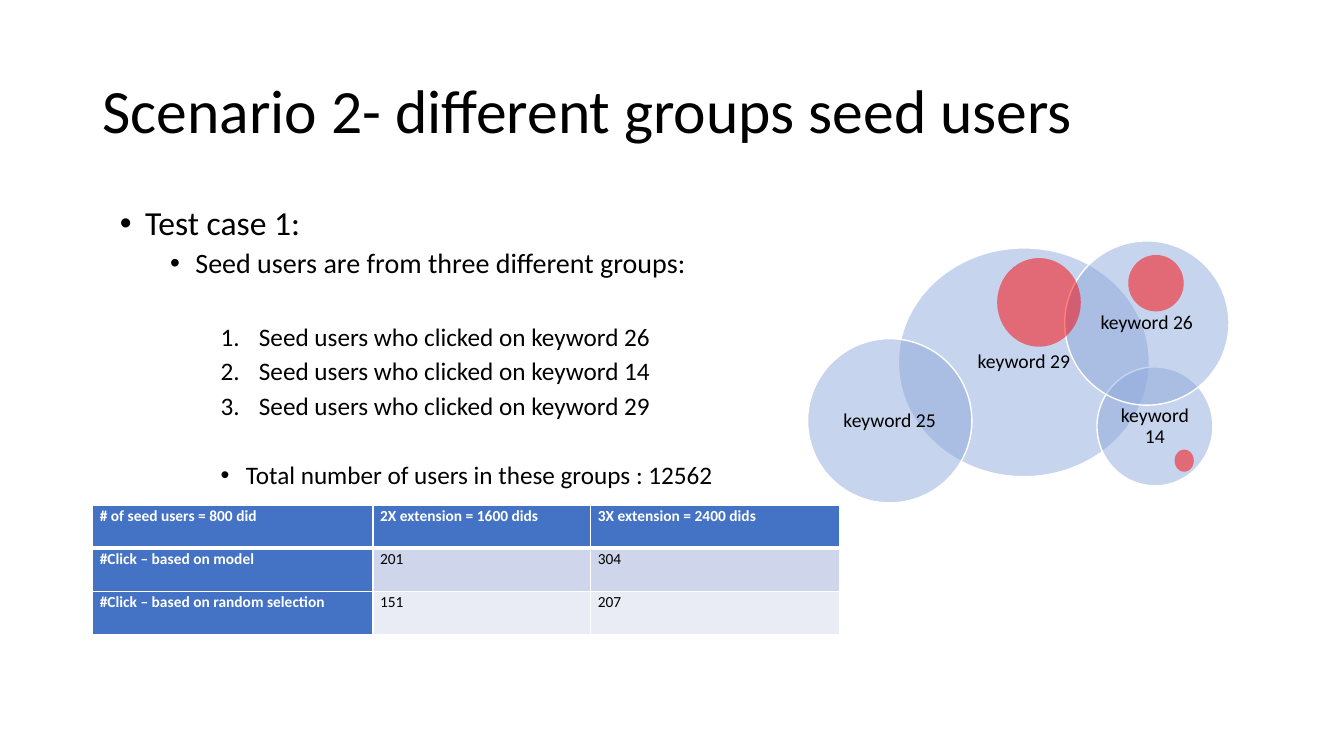
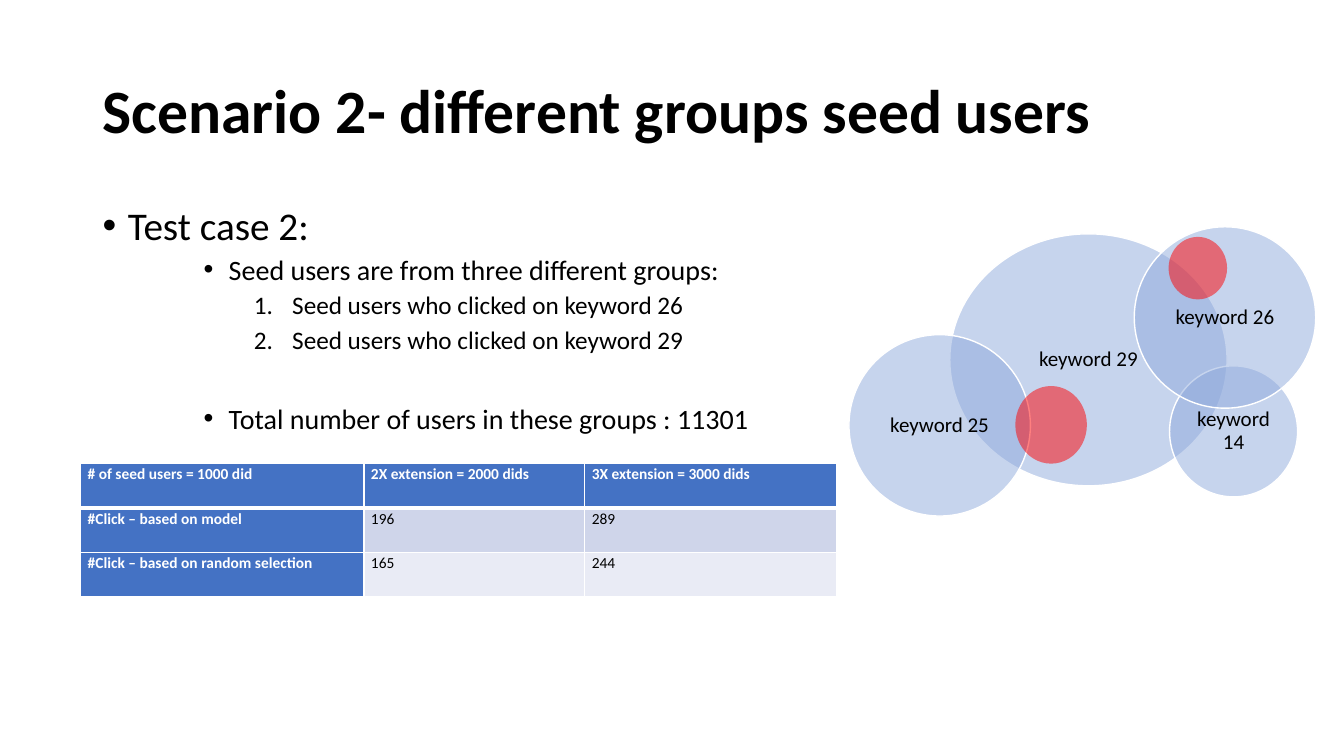
from lxml import etree
from pptx import Presentation
from pptx.dml.color import RGBColor
from pptx.enum import shapes, text
from pptx.oxml.ns import qn
from pptx.util import Inches, Pt

COLORS = {"black": "000000", "white": "FFFFFF", "header": "4472C4", "keyword": "8FAADC",
          "seed": "FF0000", "band_dark": "CFD5EA", "band_light": "E9EBF5"}
FONT = "Calibri"
TITLE = "Scenario 2- different groups seed users"
GROUPS = "Seed users are from three different groups:"
CLICKED = "Seed users who clicked on keyword "
TOTAL = "Total number of users in these groups : "

# Body lines: text, level, bullet, size, left margin, hanging indent, space before
# Ellipses: left, top, width, height
SLIDES = [
    {"title_bold": False,
     "body_box": (0.59, 2, 8.4, 4.76),
     "body": [("Test case 1:", 1, "•", 24, 0.75, 0.25, 5),
              (GROUPS, 2, "•", 20, 1.25, 0.25, 5),
              (CLICKED + "26", 3, "1.", 18, 1.88, 0.38, 32),
              (CLICKED + "14", 3, "1.", 18, 1.88, 0.38, 5),
              (CLICKED + "29", 3, "1.", 18, 1.88, 0.38, 5),
              (TOTAL + "12562", 3, "•", 18, 1.75, 0.25, 30)],
     "label_size": 14,
     "keywords": [("keyword 29", 8.91, 2.46, 2.49, 2.27),
                  ("keyword 14", 10.88, 3.64, 1.15, 1.18),
                  ("keyword 26", 10.56, 2.39, 1.63, 1.63),
                  ("keyword 25", 8.01, 3.36, 1.63, 1.63)],
     "seeds": [(9.89, 2.56, 0.83, 0.88), (11.19, 2.53, 0.55, 0.56),
               (11.65, 4.46, 0.19, 0.22)],
     "table_at": (0.92, 5.01), "columns": (2.78, 2.16, 2.47), "row_height": 0.43,
     "clicks": [("# of seed users = 800 did", "2X extension = 1600 dids",
                 "3X extension = 2400 dids"),
                ("#Click – based on model", "201", "304"),
                ("#Click – based on random selection", "151", "207")]},
    {"title_bold": True,
     "body_box": (0.92, 2, 7.38, 4.76),
     "body": [("Test case 2:", 0, "•", 28, 0.25, 0.25, 10),
              (GROUPS, 2, "•", 20, 1.25, 0.25, 5),
              (CLICKED + "26", 3, "1.", 18, 1.88, 0.38, 5),
              (CLICKED + "29", 3, "1.", 18, 1.88, 0.38, 5),
              (TOTAL + "11301", 2, "•", 20, 1.25, 0.25, 36)],
     "label_size": 15,
     "keywords": [("keyword 29", 9.42, 2.32, 2.75, 2.5),
                  ("keyword 14", 11.6, 3.63, 1.27, 1.3),
                  ("keyword 26", 11.25, 2.25, 1.8, 1.8),
                  ("keyword 25", 8.42, 3.32, 1.8, 1.8)],
     "seeds": [(11.59, 2.35, 0.58, 0.62), (10.07, 3.83, 0.71, 0.77)],
     "table_at": (0.8, 4.6), "columns": (2.81, 2.19, 2.5), "row_height": 0.44,
     "clicks": [("# of seed users = 1000 did", "2X extension = 2000 dids",
                 "3X extension = 3000 dids"),
                ("#Click – based on model", "196", "289"),
                ("#Click – based on random selection", "165", "244")]},
]


def style(paragraph, size, color="black", bold=False, spacing=0.9):
    paragraph.line_spacing = spacing
    for run in paragraph.runs:
        run.font.name = FONT
        run.font.size = Pt(size)
        run.font.bold = bold
        run.font.color.rgb = RGBColor.from_string(COLORS[color])


def add_ellipse(slide, box, color):
    ellipse = slide.shapes.add_shape(shapes.MSO_SHAPE.OVAL, *map(Inches, box))
    ellipse.shadow.inherit = False
    ellipse.fill.solid()
    ellipse.fill.fore_color.rgb = RGBColor.from_string(COLORS[color])
    fill_color = ellipse.fill._xPr.find(qn("a:solidFill"))[0]
    etree.SubElement(fill_color, qn("a:alpha"), val="50000")
    ellipse.line.fill.background()
    return ellipse


prs = Presentation()
prs.slide_width, prs.slide_height = Inches(13.33), Inches(7.5)

for content in SLIDES:
    slide = prs.slides.add_slide(prs.slide_layouts[6])

    # Title
    title = slide.shapes.add_textbox(Inches(0.92), Inches(0.4), Inches(11.5), Inches(1.45))
    title.text_frame.word_wrap = True
    title.text_frame.vertical_anchor = text.MSO_ANCHOR.MIDDLE
    title.text_frame.text = TITLE
    style(title.text_frame.paragraphs[0], 44, bold=content["title_bold"])

    # Test case outline
    outline = slide.shapes.add_textbox(*map(Inches, content["body_box"])).text_frame
    outline.word_wrap = True
    outline.text = "\n".join(line[0] for line in content["body"])
    for paragraph, line in zip(outline.paragraphs, content["body"]):
        _, level, bullet, size, margin, hanging, before = line
        paragraph.level = level
        paragraph.space_before = Pt(before)
        style(paragraph, size)
        props = paragraph._p.get_or_add_pPr()
        props.set("marL", str(Inches(margin)))
        props.set("indent", str(-Inches(hanging)))
        if bullet == "•":
            etree.SubElement(props, qn("a:buFont"), typeface="Arial")
            etree.SubElement(props, qn("a:buChar"), char=bullet)
        else:
            etree.SubElement(props, qn("a:buFont"), typeface=FONT)
            etree.SubElement(props, qn("a:buAutoNum"), type="arabicPeriod")

    # Overlapping keyword groups
    for keyword, *box in content["keywords"]:
        group = add_ellipse(slide, box, "keyword")
        group.line.color.rgb = RGBColor.from_string(COLORS["white"])
        group.line.width = Pt(1)
        label = group.text_frame
        label.word_wrap = True
        label.vertical_anchor = text.MSO_ANCHOR.MIDDLE
        label.margin_left = label.margin_right = Inches(0.06)
        label.margin_top = label.margin_bottom = Inches(0.06)
        label.text = keyword
        label.paragraphs[0].alignment = text.PP_ALIGN.CENTER
        style(label.paragraphs[0], content["label_size"])

    # Seed users inside the groups
    for box in content["seeds"]:
        add_ellipse(slide, box, "seed")

    # Click table
    columns, row_height = content["columns"], content["row_height"]
    left, top = content["table_at"]
    clicks = slide.shapes.add_table(3, 3, Inches(left), Inches(top), Inches(sum(columns)),
                                    Inches(3 * row_height)).table
    clicks.horz_banding = False
    for column, width in zip(clicks.columns, columns):
        column.width = Inches(width)
    for r, values in enumerate(content["clicks"]):
        clicks.rows[r].height = Inches(row_height)
        for c, value in enumerate(values):
            cell = clicks.cell(r, c)
            heading = r == 0 or c == 0
            cell.text = value
            style(cell.text_frame.paragraphs[0], 11, "white" if heading else "black",
                  heading, 1.07)
            cell.margin_left = cell.margin_right = Inches(0.07)
            cell.margin_top = cell.margin_bottom = 0
            borders = {"a:lnL": 1, "a:lnR": 1, "a:lnT": 3 if r == 1 else 1,
                       "a:lnB": 3 if r == 0 else 1}
            for side, points in borders.items():
                border = etree.SubElement(cell._tc.get_or_add_tcPr(), qn(side),
                                          w=str(Pt(points)))
                fill = etree.SubElement(border, qn("a:solidFill"))
                etree.SubElement(fill, qn("a:srgbClr"), val=COLORS["white"])
            band = "header" if heading else ("band_dark", "band_light")[r - 1]
            cell.fill.solid()
            cell.fill.fore_color.rgb = RGBColor.from_string(COLORS[band])

prs.save("out.pptx")
